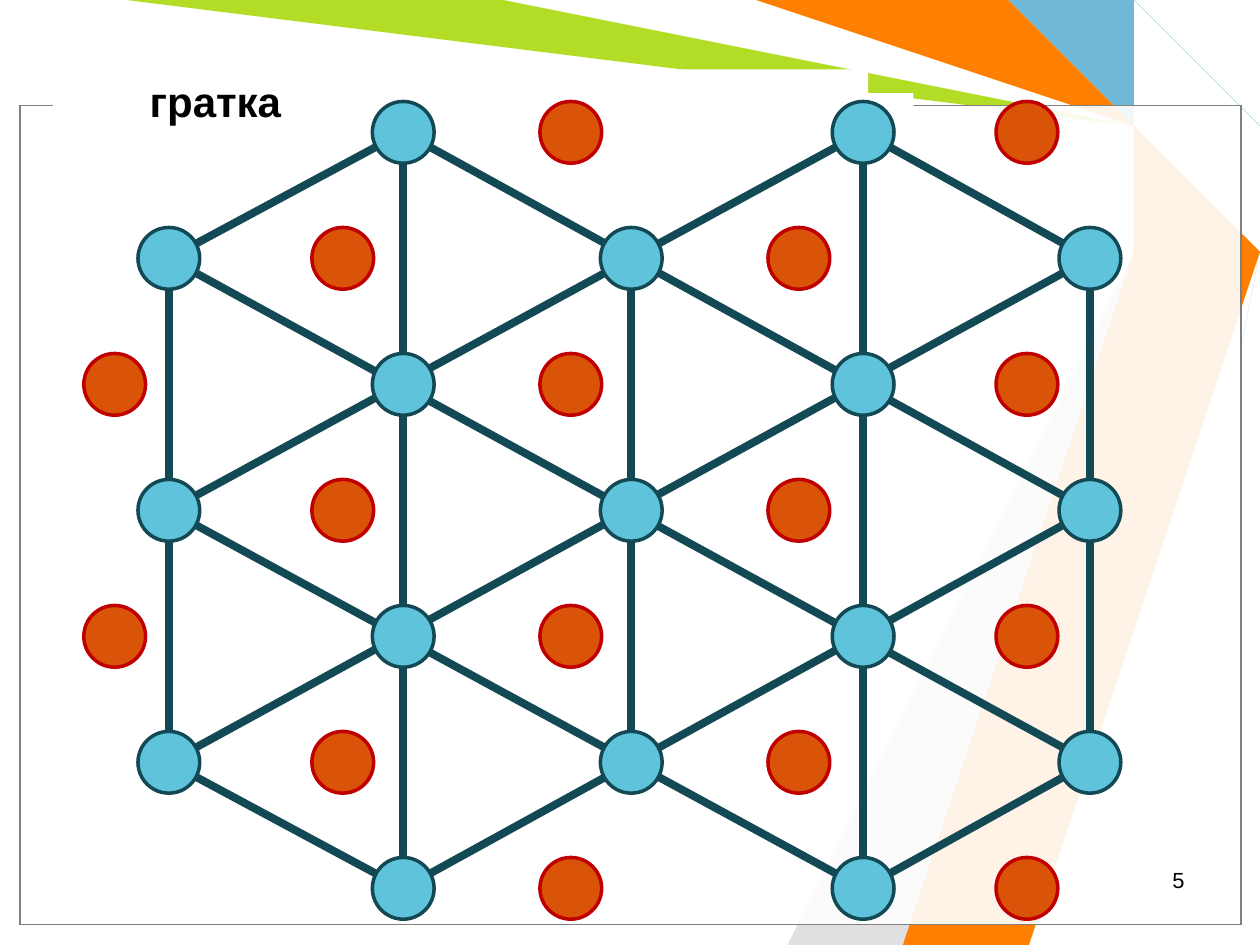
"""Builds a slide with a triangular lattice of two kinds of nodes."""
from lxml.etree import SubElement
from pptx import Presentation
from pptx.dml.color import RGBColor
from pptx.enum.shapes import MSO_CONNECTOR, MSO_SHAPE
from pptx.enum.text import MSO_ANCHOR, PP_ALIGN
from pptx.oxml.ns import qn
from pptx.util import Inches, Pt

COLORS = {
    "white": "FFFFFF", "black": "000000", "gray": "808080", "silver": "E0E0E0",
    "blue": "6FB9D7", "lime": "B3DC27", "pale": "B4E3EE", "green": "189180",
    "orange": "FF7F00", "red": "F93D17", "node": "5FC3DB", "bond": "134955",
    "atom": "D95309", "rim": "C00000",
}
RIBBONS = [
    ("blue", [(8.92, 0), (9.29, 0.77), (9.58, 1.67), (9.11, 7.49), (8.56, 7.49),
              (9.5, 1.67), (9.17, 0.75), (8.38, 0)]),
    ("lime", [(1.17, 0), (3.83, 0), (9.14, 0.78), (9.42, 1.69), (7.42, 7.5),
              (6.92, 7.5), (9.35, 1.73), (9.01, 0.91)]),
    ("silver", [(6.67, 7.5), (9.27, 1.81), (6, 7.5)]),
    ("white", [(3.75, 0), (9.1, 0.82), (9.32, 1.62), (6.75, 7.5), (7, 7.5),
               (9.41, 1.58), (9.17, 0.75), (6, 0)]),
    ("pale", [(9.25, 0), (9.17, 0.17), (9.78, 1.2), (10, 1.25), (10, 1),
              (9.25, 0.17), (9.32, 0)]),
    ("green", [(10, 0.83), (9.42, 0.25), (10, 0.67)]),
    ("orange", [(6.08, 0), (7.92, 0), (9.3, 0.7), (9.66, 1.69), (8.33, 7.5),
                (7.33, 7.5), (9.42, 1.58), (9.17, 0.75)]),
    ("red", [(7.32, 7.5), (9.32, 1.83), (7.49, 7.5)]),
]
FRAME = (0.16, 0.84, 9.69, 6.5)
FRAME_OPACITY = 69
FRAME_LINES = ["black", "gray"]
FRAME_GAP = (0.42, 0.74, 6.83, 0.17)
TITLE = ("гратка", (1.09, 0.55, 5.8, 0.5),
         {"size": Pt(24), "bold": True}, {"alignment": PP_ALIGN.LEFT})
PAGE = ("5", (7.17, 6.87, 2.33, 0.33),
        {"size": Pt(12.5), "bold": False},
        {"alignment": PP_ALIGN.RIGHT, "line_spacing": 0.8})

DIAMETER = 0.49
ROWS = [1.05 + row for row in range(7)]
NODE_COLUMNS = [1.34, 3.2, 5.01, 6.85, 8.65]
ATOM_COLUMNS = [0.91 + 1.81 * column for column in range(5)]
NODE_ROWS = [(1, 3, 5), (0, 2, 4, 6), (1, 3, 5), (0, 2, 4, 6), (1, 3, 5)]
ATOM_ROWS = [(2, 4), (1, 3, 5), (0, 2, 4, 6), (1, 3, 5), (0, 2, 4, 6)]
RISING_BONDS = [((3, 0), (0, 3)), ((4, 1), (0, 5)), ((4, 3), (1, 6)),
                ((1, 0), (0, 1)), ((4, 5), (3, 6))]
FALLING_BONDS = [((4, 5), (0, 1)), ((4, 3), (1, 0)), ((3, 6), (0, 3)),
                 ((1, 6), (0, 5)), ((4, 1), (3, 0))]
VERTICAL_BONDS = [((column, rows[-1]), (column, rows[0]))
                  for column, rows in enumerate(NODE_ROWS)]


def color(name):
    return RGBColor.from_string(COLORS[name])


def inches(values):
    return [Inches(value) for value in values]


def paint(shape, fill, line=None, width=0.75):
    shape.shadow.inherit = False
    shape.fill.solid()
    shape.fill.fore_color.rgb = color(fill)
    if line:
        shape.line.color.rgb = color(line)
        shape.line.width = Pt(width)
    else:
        shape.line.fill.background()


def add_ribbon(slide, fill, points):
    builder = slide.shapes.build_freeform(*points[0], scale=Inches(1))
    builder.add_line_segments(points[1:], close=True)
    paint(builder.convert_to_shape(), fill)


def add_box(slide, box, line=None):
    shape = slide.shapes.add_shape(MSO_SHAPE.RECTANGLE, *inches(box))
    paint(shape, "white", line)
    return shape


def add_frame(slide, line):
    shape = add_box(slide, FRAME, line)
    fill = shape._element.spPr.find(qn("a:solidFill"))
    SubElement(fill[0], qn("a:alpha"), val=str(FRAME_OPACITY * 1000))


def write(shape, text, font_format, paragraph_format):
    frame = shape.text_frame
    frame.word_wrap = True
    frame.vertical_anchor = MSO_ANCHOR.TOP
    paragraph = frame.paragraphs[0]
    paragraph.text = text
    paragraph.font.color.rgb = color("black")
    for target, values in ((paragraph.font, {"name": "Arial", **font_format}),
                           (paragraph, paragraph_format)):
        for name, value in values.items():
            setattr(target, name, value)


def add_circles(slide, columns, rows_by_column, fill, line):
    for x, rows in zip(columns, rows_by_column):
        for row in rows:
            box = (x - DIAMETER / 2, ROWS[row] - DIAMETER / 2, DIAMETER, DIAMETER)
            circle = slide.shapes.add_shape(MSO_SHAPE.OVAL, *inches(box))
            paint(circle, fill, line, 2)


def add_bond(slide, start, end):
    ends = [value for column, row in (start, end)
            for value in (NODE_COLUMNS[column], ROWS[row])]
    bond = slide.shapes.add_connector(MSO_CONNECTOR.STRAIGHT, *inches(ends))
    bond.line.color.rgb = color("bond")
    bond.line.width = Pt(4.5)
    SubElement(bond._element.spPr, qn("a:effectLst"))


def main():
    presentation = Presentation()
    presentation.slide_width, presentation.slide_height = inches((10, 7.5))
    slide = presentation.slides.add_slide(presentation.slide_layouts[6])
    for fill, points in RIBBONS:
        add_ribbon(slide, fill, points)
    for line in FRAME_LINES:
        add_frame(slide, line)
    add_box(slide, FRAME_GAP)
    text, box, *formats = PAGE
    write(slide.shapes.add_textbox(*inches(box)), text, *formats)
    text, box, *formats = TITLE
    write(add_box(slide, box), text, *formats)
    add_circles(slide, ATOM_COLUMNS, ATOM_ROWS, "atom", "rim")
    for start, end in RISING_BONDS + VERTICAL_BONDS + FALLING_BONDS:
        add_bond(slide, start, end)
    add_circles(slide, NODE_COLUMNS, NODE_ROWS, "node", "bond")
    presentation.save("out.pptx")


if __name__ == "__main__":
    main()
